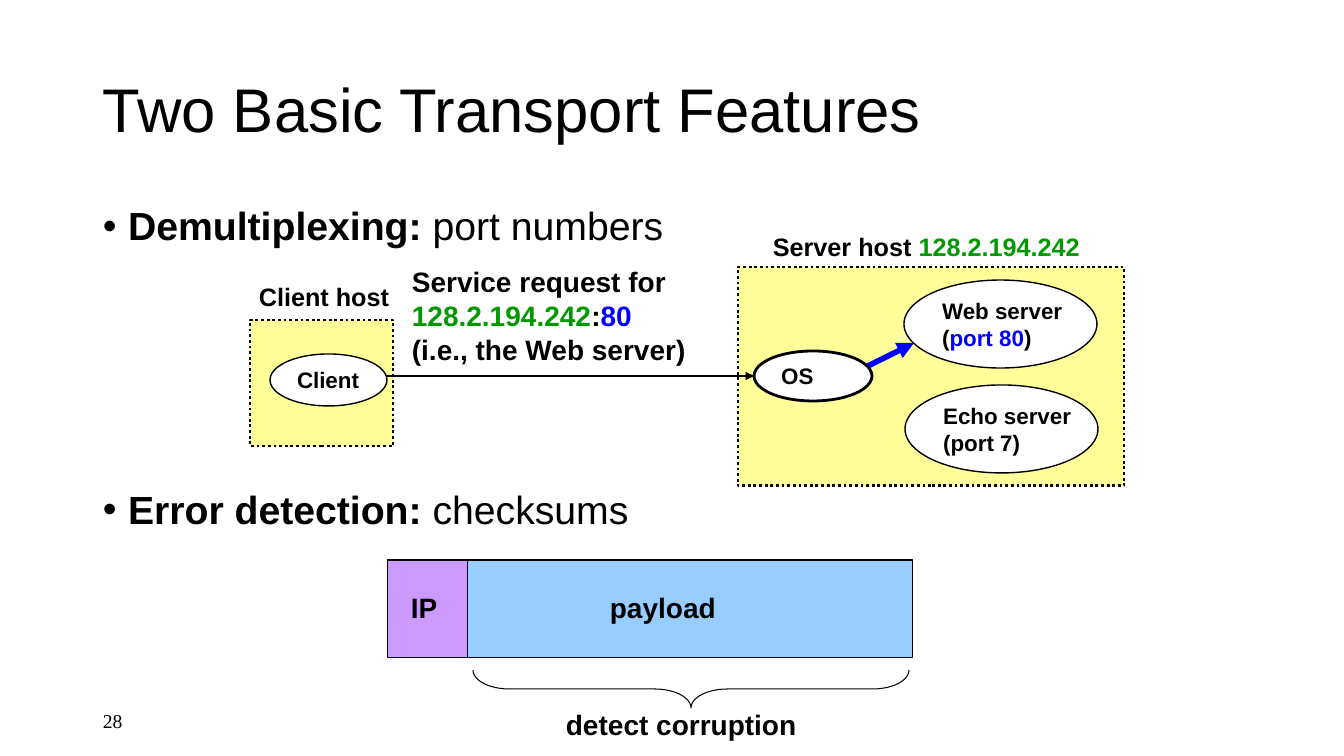
import pptx
import pptx.util
import pptx.dml.color
import pptx.enum.dml
import pptx.enum.shapes
import pptx.enum.text
import pptx.oxml.ns
from lxml import etree

PX = 9071.43  # EMU per px
COLORS = {"black": "000000", "white": "FFFFFF", "green": "009900", "blue": "0000FF",
          "yellow": "FFFF99", "sky": "99CCFF", "purple": "CC99FF"}
SHAPE = pptx.enum.shapes.MSO_SHAPE
MIDDLE = pptx.enum.text.MSO_ANCHOR.MIDDLE
qn = pptx.oxml.ns.qn

prs = pptx.Presentation()
prs.slide_width, prs.slide_height = round(1344 * PX), round(756 * PX)
s = prs.slides.add_slide(prs.slide_layouts[6])


def add_box(kind, left, top, width, height, fill=None, weight=1, dash=None):
    """Add a preset shape, or a text box when kind is None."""
    box = [round(v * PX) for v in (left, top, width, height)]
    if kind is None:
        return s.shapes.add_textbox(*box)
    sp = s.shapes.add_shape(kind, *box)
    sp.shadow.inherit = False
    if fill:
        sp.fill.solid()
        sp.fill.fore_color.rgb = pptx.dml.color.RGBColor.from_string(COLORS[fill])
    else:
        sp.fill.background()
    sp.line.color.rgb = pptx.dml.color.RGBColor.from_string(COLORS["black"])
    sp.line.width = pptx.util.Pt(weight)
    if dash:
        sp.line.dash_style = dash
    return sp


def add_text(sp, lines, size, bold=True, wrap=False, font="Arial"):
    """Fill a shape with lines of (text, colour[, bold]) runs."""
    tf = sp.text_frame
    tf.word_wrap = wrap
    for i, runs in enumerate(lines):
        p = tf.paragraphs[0] if i == 0 else tf.add_paragraph()
        p.alignment = pptx.enum.text.PP_ALIGN.LEFT
        for text, color, *weight in runs:
            r = p.add_run()
            r.text = text
            r.font.name = font
            r.font.size = pptx.util.Pt(size)
            r.font.bold = weight[0] if weight else bold
            r.font.color.rgb = pptx.dml.color.RGBColor.from_string(COLORS[color])
    return tf


# Slide number and title
tf = add_text(add_box(None, 93, 701, 302, 40), [[("28", "black")]], 14, False, True, "Times New Roman")
tf.vertical_anchor = MIDDLE
tf = add_text(add_box(None, 93, 40, 1159, 146), [[("Two Basic Transport Features", "black")]], 44, False, True)
tf.vertical_anchor = MIDDLE
tf.paragraphs[0].line_spacing = 0.9

# Bullets, with room for the host diagram between them
tf = add_text(add_box(None, 93, 202, 1159, 480), [
    [("Demultiplexing:", "black", True), (" port numbers", "black", False)],
    [("Error detection:", "black", True), (" checksums", "black", False)]], 28, wrap=True)
for p in tf.paragraphs:
    p.line_spacing = 0.9
    pPr = p._p.get_or_add_pPr()
    pPr.set("marL", "228600")
    pPr.set("indent", "-228600")
    etree.SubElement(pPr, qn("a:buFont")).set("typeface", "Arial")
    etree.SubElement(pPr, qn("a:buChar")).set("char", "•")
tf.paragraphs[1].space_before = pptx.util.Pt(172)

# Hosts
for left, top, width, height in [(250, 320, 143, 126), (738, 267, 386, 219)]:
    add_box(SHAPE.RECTANGLE, left, top, width, height, "yellow", 2,
            pptx.enum.dml.MSO_LINE.ROUND_DOT)

# Request and dispatch arrows
for x1, y1, x2, y2, color, weight in [(376, 376, 754, 376, "black", 2),
                                      (864, 368, 914, 343, "blue", 4)]:
    line = s.shapes.add_connector(pptx.enum.shapes.MSO_CONNECTOR.STRAIGHT,
                                  *[round(v * PX) for v in (x1, y1, x2, y2)])
    line.line.color.rgb = pptx.dml.color.RGBColor.from_string(COLORS[color])
    line.line.width = pptx.util.Pt(weight)
    etree.SubElement(line.line._get_or_add_ln(), qn("a:tailEnd")).set("type", "triangle")
    etree.SubElement(line._element.spPr, qn("a:effectLst"))

# Processes
for left, top, width, height, weight, lines in [
        (904, 280, 193, 88, 1, [[("Web server", "black")],
                                [("(", "black"), ("port 80", "blue"), (")", "black")]]),
        (905, 385, 193, 88, 1, [[("Echo server", "black")], [("(port 7)", "black")]]),
        (754, 351, 118, 50, 2, [[("OS", "black")]]),
        (270, 354, 117, 52, 1, [[("Client", "black")]])]:
    sp = add_box(SHAPE.OVAL, left, top, width, height, "white", weight)
    add_text(sp, lines, 16).vertical_anchor = MIDDLE

# Packet with its checksummed part
add_box(SHAPE.RECTANGLE, 388, 560, 525, 98, "sky", 0.75)
add_box(SHAPE.RECTANGLE, 388, 560, 80, 98, "purple", 0.75)
brace = add_box(SHAPE.LEFT_BRACE, 672, 471, 38, 436, weight=0.75)
brace.rotation = 270
brace.adjustments[0] = 0.957

# Labels
for left, top, width, height, size, lines in [
        (249, 276, 150, 40, 18, [[("Client host", "black")]]),
        (763, 226, 327, 40, 18, [[("Server host ", "black"), ("128.2.194.242", "green")]]),
        (402, 260, 324, 111, 20, [[("Service request for", "black")],
                                  [("128.2.194.242", "green"), (":", "black"), ("80", "blue")],
                                  [("(i.e., the Web server)", "black")]]),
        (401, 586, 47, 44, 20, [[("IP", "black")]]),
        (600, 586, 127, 44, 20, [[("payload", "black")]]),
        (556, 703, 253, 44, 20, [[("detect corruption", "black")]])]:
    tf = add_text(add_box(None, left, top, width, height), lines, size, wrap=len(lines) > 1)
    tf.auto_size = pptx.enum.text.MSO_AUTO_SIZE.SHAPE_TO_FIT_TEXT

prs.save("out.pptx")
